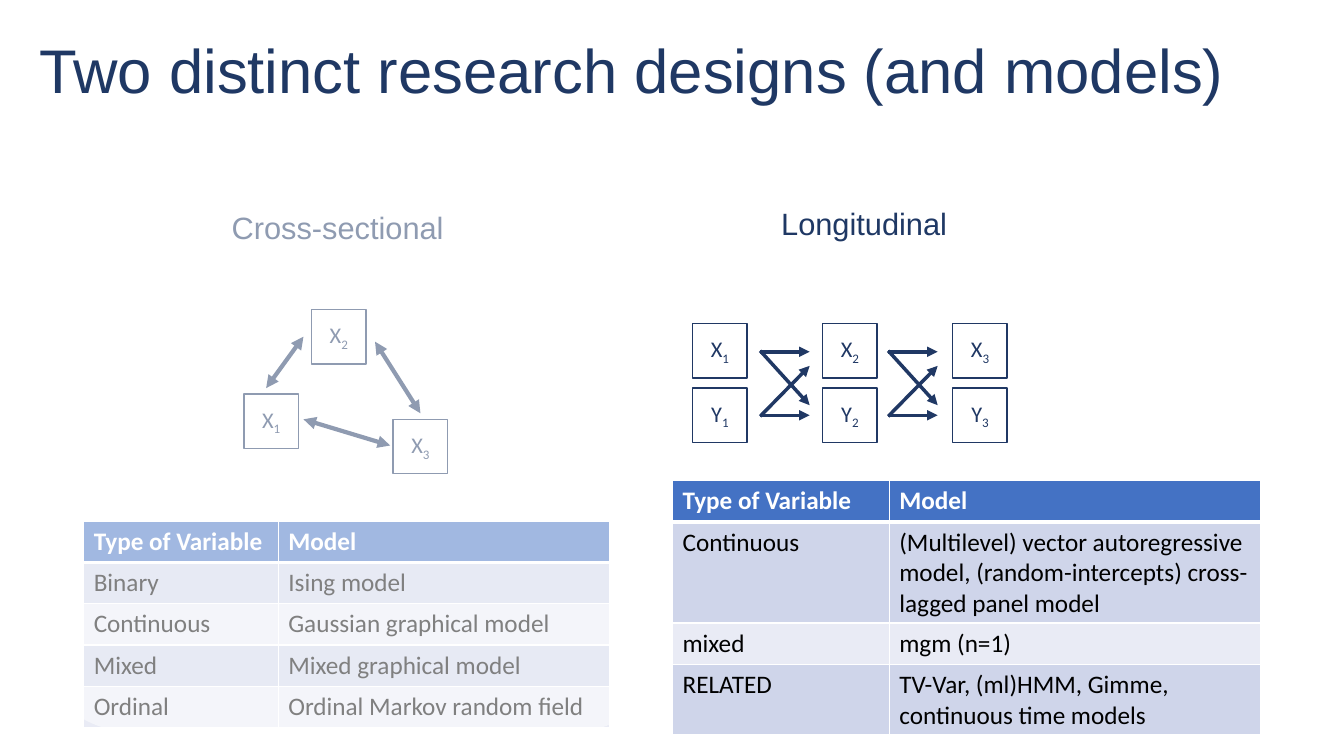
from lxml.etree import SubElement
from pptx import Presentation
from pptx.dml.color import RGBColor
from pptx.enum.shapes import MSO_CONNECTOR, MSO_SHAPE
from pptx.enum.text import MSO_ANCHOR as Anchor, PP_ALIGN as Align
from pptx.oxml.ns import qn
from pptx.util import Emu, Pt

SCALE = 9144
NODE = 54
NAVY, INK, WHITE, BLACK = "1F3864", "203864", "FFFFFF", "000000"
HEADER, BANDS = "4472C4", ("CFD5EA", "E9EBF5")


def px(*lengths):
    """Turn px lengths into EMU."""
    return [Emu(length * SCALE) for length in lengths]


def color(hex_code):
    """Turn a hex string into a colour."""
    return RGBColor.from_string(hex_code)


def write(frame, text, size=18, font="Calibri", ink=BLACK, bold=False,
          subscript="", align=Align.LEFT, anchor=Anchor.TOP, wrap=True,
          spacing=None):
    """Fill a text frame with one formatted paragraph."""
    frame.word_wrap = wrap
    frame.vertical_anchor = anchor
    paragraph = frame.paragraphs[0]
    paragraph.alignment = align
    if spacing:
        paragraph.line_spacing = spacing
    for part, baseline in ((text, None), (subscript, "-25000")):
        if not part:
            continue
        run = paragraph.add_run()
        run.text = part
        run.font.size = Pt(size)
        run.font.name = font
        run.font.bold = bold
        run.font.color.rgb = color(ink)
        if baseline:
            run.font._element.set("baseline", baseline)


def add_label(shapes, box, text, **style):
    """Add a text box."""
    write(shapes.add_textbox(*px(*box)).text_frame, text, font="Arial",
          ink=NAVY, **style)


def add_node(shapes, x, y, letter, index):
    """Add a square for one variable."""
    node = shapes.add_shape(MSO_SHAPE.RECTANGLE, *px(x, y, NODE, NODE))
    node.shadow.inherit = False
    node.fill.solid()
    node.fill.fore_color.rgb = color(WHITE)
    node.line.color.rgb = color(INK)
    node.line.width = Pt(1)
    write(node.text_frame, letter, size=16, ink=INK, subscript=str(index),
          align=Align.CENTER, anchor=Anchor.MIDDLE)


def add_arrow(shapes, start, end, width, ends=("tailEnd",)):
    """Add an arrow with triangles at the named ends."""
    arrow = shapes.add_connector(MSO_CONNECTOR.STRAIGHT, *px(*start, *end))
    arrow.line.color.rgb = color(INK)
    arrow.line.width = Pt(width)
    for name in ends:
        SubElement(arrow.line._get_or_add_ln(), qn(f"a:{name}"), type="triangle")
    SubElement(arrow._element.spPr, qn("a:effectLst"))


def add_border(cell, side, width):
    """Draw a white border on one side of a cell."""
    line = SubElement(cell._tc.get_or_add_tcPr(), qn(f"a:ln{side}"),
                      w=str(Pt(width)))
    fill = SubElement(line, qn("a:solidFill"))
    SubElement(fill, qn("a:srgbClr"), val=WHITE)


def add_model_table(shapes, x, y, widths, heights, models):
    """Add a banded table of variable types and models."""
    rows = [("Type of Variable", "Model"), *models]
    frame = shapes.add_table(len(rows), len(widths),
                             *px(x, y, sum(widths), sum(heights)))
    table = frame.table
    for column, width in zip(table.columns, px(*widths)):
        column.width = width
    for r, (row, height) in enumerate(zip(rows, px(*heights))):
        table.rows[r].height = height
        for c, text in enumerate(row):
            cell = table.cell(r, c)
            for side in "LRTB":
                under_header = (r, side) in ((0, "B"), (1, "T"))
                add_border(cell, side, 3 if under_header else 1)
            cell.fill.solid()
            cell.fill.fore_color.rgb = color(BANDS[(r - 1) % 2] if r else HEADER)
            write(cell.text_frame, text, bold=r == 0, ink=BLACK if r else WHITE)


def add_veil(shapes, box):
    """Fade a region with a half-transparent white panel."""
    veil = shapes.add_shape(MSO_SHAPE.ROUNDED_RECTANGLE, *px(*box))
    veil.shadow.inherit = False
    veil.fill.solid()
    veil.fill.fore_color.rgb = color(WHITE)
    tint = veil._element.spPr.find(f".//{qn('a:srgbClr')}")
    SubElement(tint, qn("a:alpha"), val="50000")
    veil.line.fill.background()


def add_cross_sectional(shapes, box):
    """Build the faded cross-sectional design."""
    x, y, _, _ = box
    network = shapes.add_group_shape().shapes
    for index, (dx, dy) in enumerate([(209, 251), (276, 167), (357, 276)], 1):
        add_node(network, x + dx, y + dy, "X", index)
    links = [(339, 199, 384, 270), (354, 302, 268, 276), (231, 245, 268, 194)]
    for x1, y1, x2, y2 in links:
        add_arrow(network, (x + x1, y + y1), (x + x2, y + y2), 3,
                  ("headEnd", "tailEnd"))
    add_label(shapes, (x + 187, y + 62, 233, 47), "Cross-sectional", size=22,
              wrap=False)
    add_model_table(shapes, x + 50, y + 377, (193, 329), [41] * 5, [
        ("Binary", "Ising model"),
        ("Continuous", "Gaussian graphical model"),
        ("Mixed", "Mixed graphical model"),
        ("Ordinal", "Ordinal Markov random field"),
    ])
    add_veil(shapes, box)


def add_longitudinal(shapes, box):
    """Build the longitudinal design."""
    x, y, _, _ = box
    for wave in range(3):
        for row, letter in enumerate("XY"):
            add_node(shapes, x + 20 + 129 * wave, y + 123 + 64 * row, letter,
                     wave + 1)
    for gap in range(2):
        left = x + 87 + 127 * gap
        for y1, y2 in ((151, 151), (214, 214), (150, 204), (215, 165)):
            add_arrow(shapes, (left, y + y1), (left + 49, y + y2), 2.5)
    add_label(shapes, (x + 98, y, 187, 47), "Longitudinal", size=22, wrap=False)
    add_model_table(shapes, x, y + 279, (215, 368), (41, 99, 41, 70), [
        ("Continuous", "(Multilevel) vector autoregressive model, "
                       "(random-intercepts) cross-lagged panel model"),
        ("mixed", "mgm (n=1)"),
        ("RELATED", "TV-Var, (ml)HMM, Gimme, continuous time models"),
    ])


def main():
    """Build and save the slide."""
    deck = Presentation()
    deck.slide_width, deck.slide_height = px(1333, 750)
    shapes = deck.slides.add_slide(deck.slide_layouts[6]).shapes
    add_label(shapes, (29, 0, 1276, 145),
              "Two distinct research designs (and models)", size=44,
              anchor=Anchor.MIDDLE, spacing=0.9)
    add_cross_sectional(shapes, (33, 140, 633, 586))
    add_longitudinal(shapes, (667, 198, 583, 530))
    deck.save("out.pptx")


if __name__ == "__main__":
    main()
